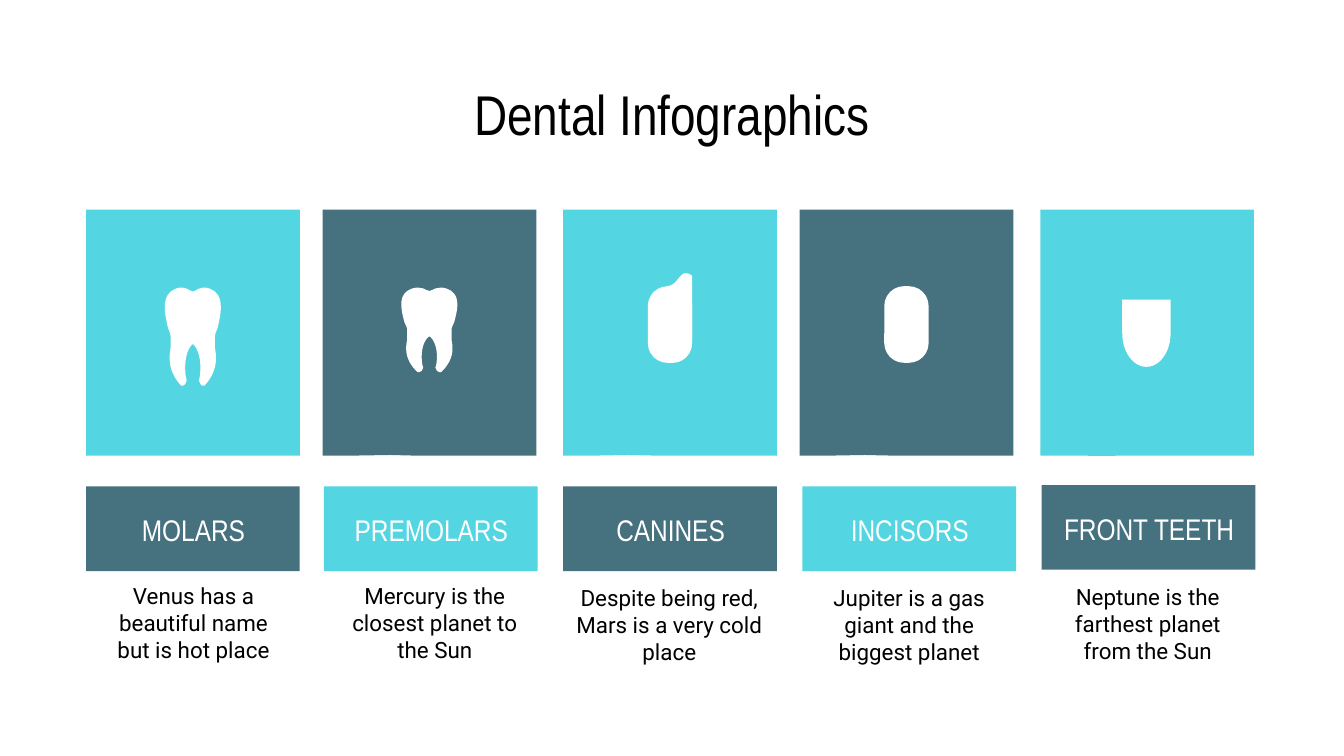
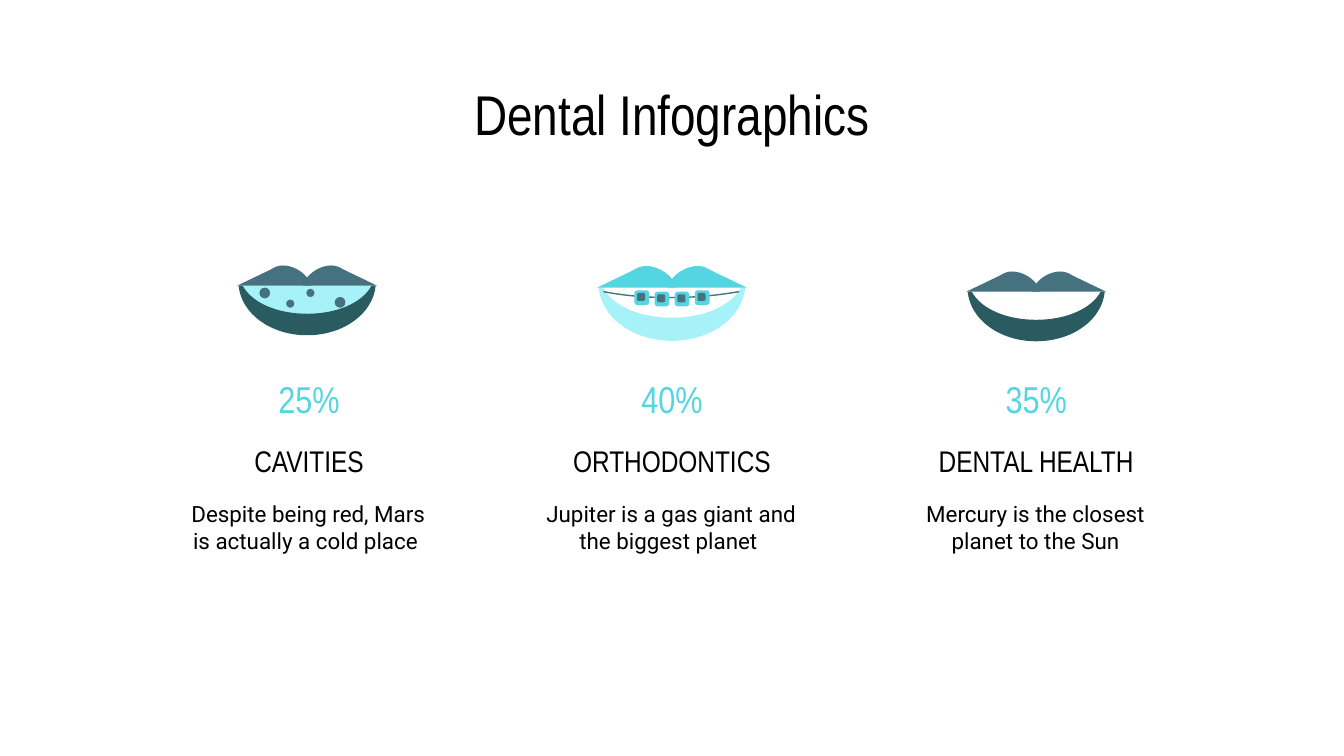
from pptx import Presentation
from pptx.dml.color import RGBColor
from pptx.enum.shapes import MSO_SHAPE as SHAPE
from pptx.enum.text import MSO_ANCHOR as ANCHOR, MSO_AUTO_SIZE as AUTO, PP_ALIGN as ALIGN
from pptx.oxml.ns import qn
from pptx.util import Emu, Pt

# Shared style
TEAL = RGBColor(0x54, 0xD6, 0xE2)
SLATE = RGBColor(0x46, 0x71, 0x7F)
DEEP = RGBColor(0x2A, 0x5B, 0x61)
ICE = RGBColor(0xA7, 0xF2, 0xF8)
WHITE = RGBColor(0xFF, 0xFF, 0xFF)
BLACK = RGBColor(0x00, 0x00, 0x00)

HEAD, BODY = "Arial Narrow", "Roboto"
TITLE_FMT = {"name": HEAD, "size": Pt(30)}
FIGURE_FMT = {"name": HEAD, "size": Pt(20)}
LABEL_FMT = {"name": HEAD, "size": Pt(16)}
TEXT_FMT = {"name": BODY, "size": Pt(12)}

# Outlines: a start point, then lines (2 numbers) and Bézier curves (6 numbers)
HALF_TOOTH = [
    (23.5, 3), (23, 3, 22, 2, 21, 2), (20, 1, 17, 0, 15, 0), (12, 0, 10, 1, 7, 3),
    (0, 9, 3, 21, 5, 30), (6, 32, 7, 35, 7, 36), (7, 39, 7, 41, 7, 45),
    (6, 50, 6, 55, 7, 59), (9, 67, 14, 72, 14, 72), (14, 73, 15, 73, 16, 73),
    (17, 73, 19, 71, 19, 69), (18, 67, 17, 57, 19, 50), (20, 46, 22, 43, 23.5, 42),
]
CUSP = [(23, 4), (22, 4, 22, 4, 22, 4), (16, 7, 25, 12, 27, 25), (31, 22, 28, 4, 23, 4)]
TEETH = [(-48, 0), (-48, 0, -38, 25, -3, 25), (3, 25), (38, 25, 48, 0, 48, 0)]
HALF_TEETH = [(-48, 0), (0, 0), (0, 25), (-3, 25), (-38, 25, -48, 0, -48, 0)]
LOWER_LIP = [
    (-51, 0), (-49, 21, -27, 37, 0, 37), (27, 37, 49, 21, 51, 0), (48, 0),
    (41, 13, 22, 21, 0, 21), (-22, 21, -41, 13, -48, 0),
]
HALF_UPPER_LIP = [
    (-18, -15), (-21, -15, -24, -14, -27, -12), (-52, 0), (3, 0), (0, -6),
    (-4, -11, -11, -15, -18, -15),
]
WIRE = [(449, 217), (449, 217, 493, 227, 550, 217)]


def px(n):
    """One px is a hundredth of an inch."""
    return Emu(round(n * 9144))


def points(outline):
    return [pt for seg in outline for pt in zip(seg[::2], seg[1::2])]


def with_mirror(half, width):
    """Complete an outline of curves with its mirrored half."""
    back = [(width - x, y) for x, y in points(half)[-2::-1]]
    return half + [sum(back[i:i + 3], ()) for i in range(0, len(back), 3)]


TOOTH = with_mirror(HALF_TOOTH, 47)


class Deck:
    def __init__(self):
        self.prs = Presentation()
        self.prs.slide_width, self.prs.slide_height = px(1000), px(562.5)
        self.s = None

    def slide(self, title):
        self.s = self.prs.slides.add_slide(self.prs.slide_layouts[5])
        sp = self.s.shapes.title
        sp.left, sp.top, sp.width, sp.height = map(px, (50, 49, 900, 63))
        self.fill_text(sp.text_frame, [title], TITLE_FMT)

    def fill_text(self, tf, lines, fmt, color=BLACK, anchor=ANCHOR.TOP, indent=0):
        frame_fmt = {"word_wrap": True, "auto_size": AUTO.NONE, "vertical_anchor": anchor}
        frame_fmt.update({f"margin_{side}": px(10) for side in ("left", "top", "right", "bottom")})
        for key, value in frame_fmt.items():
            setattr(tf, key, value)
        for i, line in enumerate(lines):
            p = tf.add_paragraph() if i else tf.paragraphs[0]
            p.alignment = ALIGN.CENTER
            if indent:
                p._p.get_or_add_pPr().set("marL", str(px(indent)))
            r = p.add_run()
            r.text = line
            for key, value in fmt.items():
                setattr(r.font, key, value)
            r.font.color.rgb = color

    def text(self, box, lines, fmt, **style):
        sp = self.s.shapes.add_textbox(*map(px, box))
        self.fill_text(sp.text_frame, lines, fmt, **style)

    def paint(self, sp, fill):
        sp.shadow.inherit = False
        sp.fill.solid()
        sp.fill.fore_color.rgb = fill
        sp.line.fill.background()

    def shape(self, kind, box, fill, adj=(), rot=0):
        sp = self.s.shapes.add_shape(kind, *map(px, box))
        self.paint(sp, fill)
        sp.rotation = rot
        for i, value in enumerate(adj):
            sp.adjustments[i] = value

    def freeform(self, outline, x=0, y=0, sx=1, sy=1, closed=True):
        pts = [(px(x + sx * u), px(y + sy * v)) for u, v in points(outline)]
        fb = self.s.shapes.build_freeform(*pts[0])
        fb.add_line_segments(pts[1:], close=closed)
        sp = fb.convert_to_shape()
        # Join each three control points into a curve
        geom = next(sp._element.iter(qn("a:path")))
        steps = iter(geom.findall(qn("a:lnTo")))
        for seg in outline[1:]:
            first = next(steps)
            if len(seg) == 6:
                first.tag = qn("a:cubicBezTo")
                for step in (next(steps), next(steps)):
                    first.append(step[0])
                    geom.remove(step)
        return sp

    def area(self, outline, fill, *place):
        self.paint(self.freeform(outline, *place), fill)

    def curve(self, outline, color, width):
        sp = self.freeform(outline, closed=False)
        sp.shadow.inherit = False
        sp.fill.background()
        sp.line.color.rgb = color
        sp.line.width = Pt(width)

    def tooth(self, x, y, height):
        for outline in (TOOTH, CUSP):
            self.area(outline, WHITE, x, y, 1, height / 73)

    def round_tooth(self, x, rot=0):
        self.shape(SHAPE.ROUNDED_RECTANGLE, (x, 213, 33, 57), WHITE, [0.446], rot)

    def halves(self, outline, fill, x, y, scale):
        for side in (1, -1):
            self.area(outline, fill, x, y, side * scale, scale)

    def mouth(self, x, y, teeth, lower, upper, scale=1, whole=False):
        if whole:
            self.area(TEETH, teeth, x, y, scale, scale)
        else:
            self.halves(HALF_TEETH, teeth, x, y, scale)
        self.area(LOWER_LIP, lower, x, y, scale, scale)
        self.halves(HALF_UPPER_LIP, upper, x, y, scale)


def tooth_types(d):
    d.slide("Dental Infographics")
    # Label, description, its indent, offset and top, banner top, callout tip
    columns = [
        ("MOLARS", ["Venus has a beautiful name but is hot place"],
         1, 0, 423, 362, (-0.205, 0.501)),
        ("PREMOLARS", ["Mercury is the", "closest planet to the Sun"],
         0, 3, 423, 362, (-0.185, 0.498)),
        ("CANINES", ["Despite being red, Mars is a very cold place"],
         1, -1, 425, 362, (-0.194, 0.498)),
        ("INCISORS", ["Jupiter is a gas giant and the biggest planet"],
         0, 0, 425, 362, (-0.197, 0.498)),
        ("FRONT TEETH", ["Neptune is the farthest planet from the Sun"],
         1, -1, 424, 361, (-0.215, 0.502)),
    ]
    for i, (label, lines, indent, dx, text_y, banner_y, tip) in enumerate(columns):
        card_x = 64 + 355 * (i // 2) + 176 * (i % 2)
        x = 64 + i * 711 // 4
        card, banner = (SLATE, TEAL) if i % 2 else (TEAL, SLATE)
        d.shape(SHAPE.RECTANGULAR_CALLOUT, (card_x, 156, 159, 183), card, tip)
        d.shape(SHAPE.RECTANGLE, (x, banner_y, 159, 63), banner)
        d.text((x, banner_y + 9, 160, 48), [label], LABEL_FMT, color=WHITE)
        d.text((x + dx, text_y, 159, 106), lines, TEXT_FMT, indent=indent)

    # Tooth icons
    d.tooth(120, 214, 73)
    d.tooth(296, 214, 63)
    d.round_tooth(482, rot=180)
    d.shape(SHAPE.FLOWCHART_MULTIDOCUMENT, (493, 203, 22, 60), WHITE, rot=180)
    d.round_tooth(658)
    d.shape(SHAPE.FLOWCHART_DELAY, (828, 230, 50, 36), WHITE, rot=90)


def mouth_shares(d):
    d.slide("Dental Infographics")
    columns = [
        ("25%", "CAVITIES", "Despite being red, Mars is actually a cold place "),
        ("40%", "ORTHODONTICS", "Jupiter is a gas giant and the biggest planet "),
        ("35%", "DENTAL HEALTH", "Mercury is the closest planet to the Sun"),
    ]
    for i, (share, label, line) in enumerate(columns):
        x = 128 + i * 541 // 2
        d.text((x, 278, 204, 37), [share], FIGURE_FMT, color=TEAL, anchor=ANCHOR.MIDDLE)
        d.text((x, 324, 204, 37), [label], LABEL_FMT, anchor=ANCHOR.MIDDLE)
        d.text((x - 2, 362, 207, 63), [line], TEXT_FMT)

    # Mouth with cavities
    d.mouth(228.5, 212.5, ICE, DEEP, SLATE)
    for x, y, size in [(193, 214, 8), (213, 223, 6), (228, 215, 6), (249, 221, 8)]:
        d.shape(SHAPE.OVAL, (x, y, size, size), SLATE)

    # Mouth with braces
    d.mouth(500, 214, WHITE, ICE, TEAL, scale=1.07, whole=True)
    d.curve(WIRE, SLATE, 0.75)
    for x, y in [(472, 216), (487, 217), (502, 217), (517, 216)]:
        d.shape(SHAPE.ROUNDED_RECTANGLE, (x, y, 11, 11), TEAL, [0.22])
        d.shape(SHAPE.ROUNDED_RECTANGLE, (x + 2, y + 2, 6, 6), SLATE, [0.22])

    # Healthy mouth
    d.mouth(771, 217, WHITE, DEEP, SLATE)


def main():
    d = Deck()
    tooth_types(d)
    mouth_shares(d)
    d.prs.save("out.pptx")


if __name__ == "__main__":
    main()
